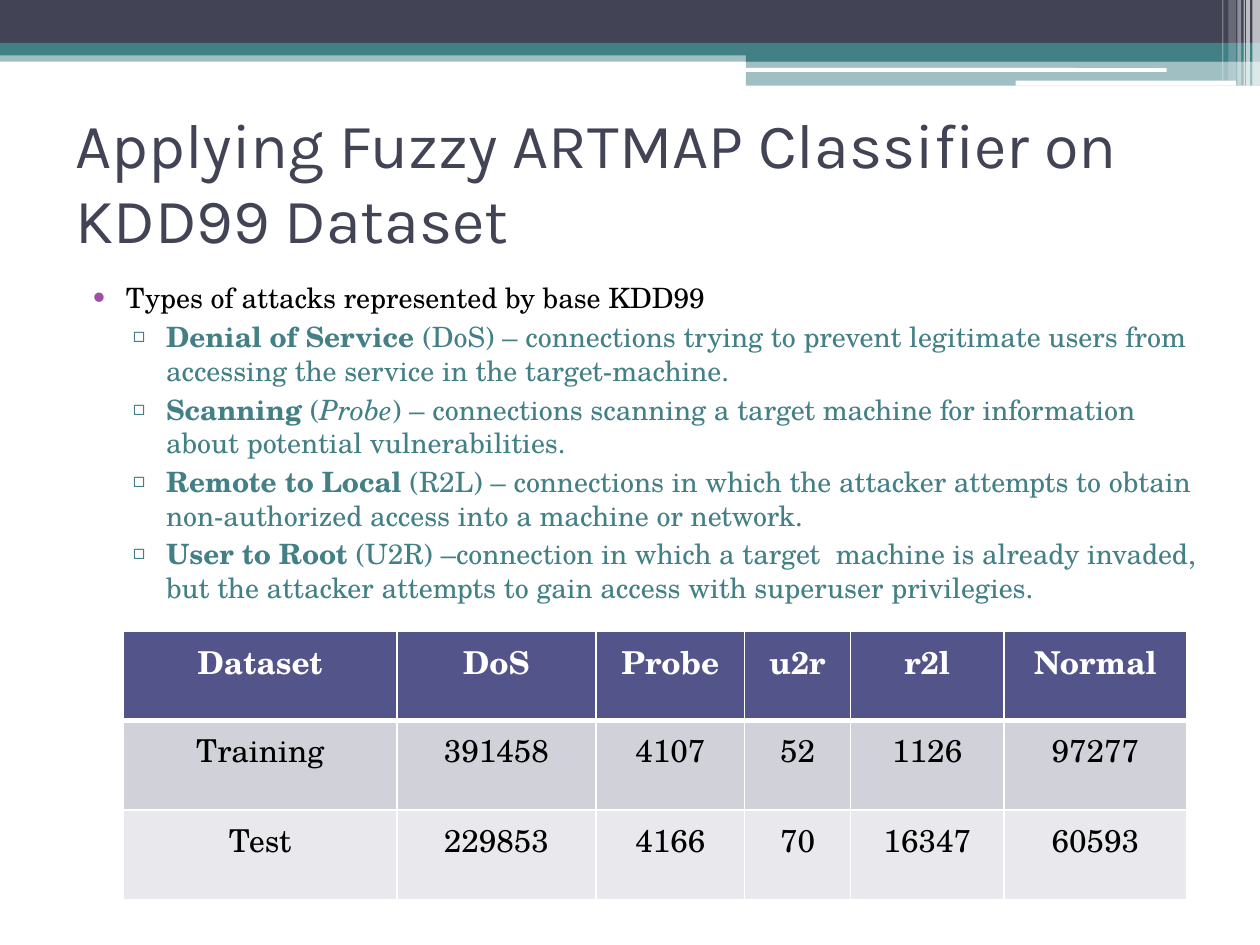
from lxml.etree import SubElement
from pptx import Presentation
from pptx.dml.color import RGBColor
from pptx.enum.shapes import MSO_SHAPE
from pptx.enum.text import MSO_ANCHOR, PP_ALIGN
from pptx.oxml.ns import qn
from pptx.util import Inches, Pt

COLORS = {
    "navy": "424456", "teal": "438086", "white": "FFFFFF", "black": "000000",
    "purple": "A04DA3", "header": "53548A", "row_dark": "D1D1DA",
    "row_light": "E9E9ED",
}


def rgb(name):
    return RGBColor.from_string(COLORS[name])


class SlideBuilder:
    """Holds the style and the current slide."""

    title_font = "Karla"
    body_font = "TeX Gyre Schola"

    def __init__(self, slide):
        self.slide = slide

    def style(self, font, color, **values):
        for name, value in values.items():
            setattr(font, name, value)
        font.color.rgb = rgb(color)

    def band(self, left, top, width, height, color, opacity=100, rounding=None):
        kind = MSO_SHAPE.RECTANGLE if rounding is None else MSO_SHAPE.ROUNDED_RECTANGLE
        band = self.slide.shapes.add_shape(
            kind, Inches(left), Inches(top), Inches(width), Inches(height))
        band.shadow.inherit = False
        band.line.fill.background()
        band.fill.solid()
        band.fill.fore_color.rgb = rgb(color)
        if rounding is not None:
            band.adjustments[0] = rounding
        if opacity < 100:
            tint = next(band.fill._xPr.iter(qn("a:srgbClr")))
            SubElement(tint, qn("a:alpha"), val=str(opacity * 1000))

    def text_frame(self, left, top, width, height, anchor):
        box = self.slide.shapes.add_textbox(
            Inches(left), Inches(top), Inches(width), Inches(height))
        frame = box.text_frame
        frame.word_wrap = True
        frame.vertical_anchor = anchor
        return frame

    def title(self, text, *place):
        heading = self.text_frame(*place, MSO_ANCHOR.MIDDLE).paragraphs[0]
        heading.text = text
        self.style(heading.font, "navy", name=self.title_font, size=Pt(36))

    def bullet(self, paragraph, symbol, color, level, left, indent):
        paragraph.level = level
        props = paragraph._p.get_or_add_pPr()
        props.set("marL", str(Inches(left)))
        props.set("indent", str(Inches(indent)))
        bullet_color = SubElement(props, qn("a:buClr"))
        SubElement(bullet_color, qn("a:srgbClr"), val=COLORS[color])
        SubElement(props, qn("a:buFont"), typeface=self.body_font)
        SubElement(props, qn("a:buChar"), char=symbol)

    def bullet_list(self, lead, attacks, *place):
        frame = self.text_frame(*place, MSO_ANCHOR.TOP)
        intro = frame.paragraphs[0]
        self.bullet(intro, "•", "purple", 0, 0.4, -0.28)
        lead_run = intro.add_run()
        lead_run.text = lead
        self.style(lead_run.font, "black", name=self.body_font, size=Pt(16))
        for attack in attacks:
            item = frame.add_paragraph()
            item.space_before = Pt(3)
            self.bullet(item, "▫", "teal", 1, 0.72, -0.27)
            for text, emphasis in attack:
                run = item.add_run()
                run.text = text
                self.style(run.font, "teal", name=self.body_font, size=Pt(16), **emphasis)

    def borders(self, cell, top, bottom):
        props = cell._tc.get_or_add_tcPr()
        for side, width in {"L": 1, "R": 1, "T": top, "B": bottom}.items():
            line = SubElement(props, qn("a:ln" + side), w=str(Pt(width)))
            fill = SubElement(line, qn("a:solidFill"))
            SubElement(fill, qn("a:srgbClr"), val=COLORS["white"])

    def table(self, left, top, widths, row_height, records, fills):
        table = self.slide.shapes.add_table(
            len(records), len(widths), Inches(left), Inches(top),
            Inches(sum(widths)), Inches(row_height * len(records))).table
        for column, width in zip(table.columns, widths):
            column.width = Inches(width)
        for r, (record, fill) in enumerate(zip(records, fills)):
            is_header = r == 0
            for c, value in enumerate(record):
                cell = table.cell(r, c)
                self.borders(cell, 3 if r == 1 else 1, 3 if is_header else 1)
                cell.fill.solid()
                cell.fill.fore_color.rgb = rgb(fill)
                cell.text = value
                label = cell.text_frame.paragraphs[0]
                label.alignment = PP_ALIGN.CENTER
                self.style(label.runs[0].font, "white" if is_header else "black",
                           name=self.body_font, size=Pt(18), bold=is_header)


BOLD, ITALIC, PLAIN = {"bold": True}, {"italic": True}, {}

ATTACKS = [
    [("Denial of Service ", BOLD),
     ("(DoS) – connections trying to prevent legitimate users from accessing "
      "the service in the target-machine.", PLAIN)],
    [("Scanning ", BOLD), ("(", PLAIN), ("Probe", ITALIC),
     (") – connections scanning a target machine for information about "
      "potential vulnerabilities.", PLAIN)],
    [("Remote to Local ", BOLD),
     ("(R2L) – connections in which the attacker attempts to obtain "
      "non-authorized access into a machine or network.", PLAIN)],
    [("User to Root ", BOLD),
     ("(U2R) –connection in which a target  machine is already invaded, but "
      "the attacker attempts to gain access with superuser privilegies.", PLAIN)],
]

RECORDS = [
    ["Dataset", "DoS", "Probe", "u2r", "r2l", "Normal"],
    ["Training", "391458", "4107", "52", "1126", "97277"],
    ["Test", "229853", "4166", "70", "16347", "60593"],
]

# Left, top, width, height, colour, opacity, rounding
HEADER_BANDS = [
    (0, 0.4, 10, 0.09, "teal", 50),
    (0, 0, 10, 0.34, "navy"),
    (0, 0.34, 10, 0.1, "teal"),
    (5.92, 0.39, 4.08, 0.1, "teal"),
    (5.92, 0.48, 4.08, 0.2, "teal", 50),
    (5.91, 0.54, 3.35, 0.03, "white", 100, 0.167),
    (8.06, 0.64, 1.75, 0.04, "white", 100, 0.167),
]

# Left, width, height, opacity
EDGE_STRIPES = [
    (9.94, 0.06, 0.68, 65), (9.89, 0.03, 0.68, 65), (9.87, 0.01, 0.68, 60),
    (9.82, 0.03, 0.68, 40), (9.75, 0.06, 0.64, 20), (9.7, 0.01, 0.64, 30),
]


def main():
    deck = Presentation()
    deck.slide_width, deck.slide_height = Inches(10), Inches(7.5)
    builder = SlideBuilder(deck.slides.add_slide(deck.slide_layouts[6]))

    # Header decoration
    for band in HEADER_BANDS:
        builder.band(*band)
    for left, width, height, opacity in EDGE_STRIPES:
        builder.band(left, 0, width, height, "white", opacity)

    # Title and attack types
    builder.title("Applying Fuzzy ARTMAP Classifier on KDD99 Dataset", 0.5, 0.85, 9, 1.17)
    builder.bullet_list("Types of attacks represented by base KDD99", ATTACKS,
                        0.5, 2.18, 9.15, 2.68)

    # Record counts per attack type
    builder.table(0.98, 5.01, [2.17, 1.58, 1.18, 0.84, 1.22, 1.45], 0.71,
                  RECORDS, ["header", "row_dark", "row_light"])

    deck.save("out.pptx")


if __name__ == "__main__":
    main()
